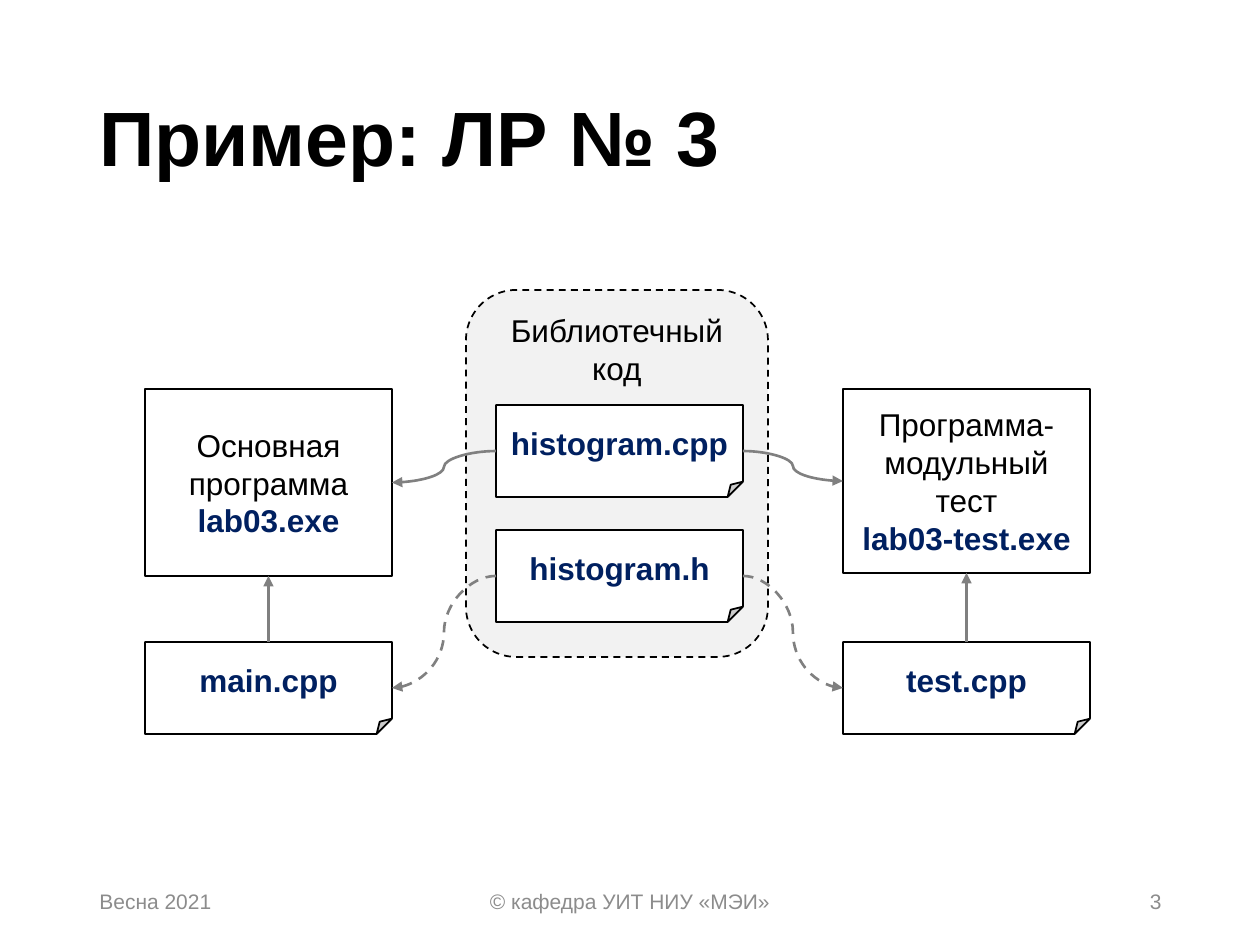
import lxml.etree
import pptx
import pptx.dml.color
import pptx.enum.dml
import pptx.enum.shapes
import pptx.enum.text
import pptx.oxml.ns
import pptx.util

SCALE = 914400 / 126  # EMU in one px
THEME = {
    "font": "Arial",
    "title": 44, "body": 18, "footer": 12,
    "text": "000000", "file": "002060", "muted": "8C8C8C",
    "paper": "FFFFFF", "group": "F2F2F2", "outline": "000000", "arrow": "808080",
}
SHAPE = pptx.enum.shapes.MSO_SHAPE
CONNECTOR = pptx.enum.shapes.MSO_CONNECTOR
ALIGN = pptx.enum.text.PP_ALIGN
ANCHOR = pptx.enum.text.MSO_ANCHOR
DASH = pptx.enum.dml.MSO_LINE.DASH
TOP, LEFT, BOTTOM, RIGHT = range(4)


def rgb(role):
    return pptx.dml.color.RGBColor.from_string(THEME[role])


def write(shape, lines, size, align=ALIGN.CENTER, anchor=ANCHOR.MIDDLE):
    """Put (text, colour role, bold) lines into one paragraph."""
    frame = shape.text_frame
    frame.word_wrap = True
    frame.vertical_anchor = anchor
    paragraph = frame.paragraphs[0]
    paragraph.alignment = align
    for number, (text, role, bold) in enumerate(lines):
        if number:
            paragraph.add_line_break()
        run = paragraph.add_run()
        run.text = text
        run.font.color.rgb = rgb(role)
        formats = {"name": THEME["font"], "size": pptx.util.Pt(THEME[size]), "bold": bold}
        for attribute, value in formats.items():
            setattr(run.font, attribute, value)
    return paragraph


deck = pptx.Presentation()
deck.slide_width = pptx.util.Inches(10)
deck.slide_height = pptx.util.Inches(7.5)
slide = deck.slides.add_slide(deck.slide_layouts[6])

# Title and footer
captions = [
    ((87, 50, 1086, 183), "Пример: ЛР № 3", "title", "text", True, ALIGN.LEFT),
    ((87, 876, 284, 50), "Весна 2021", "footer", "muted", False, ALIGN.LEFT),
    ((417, 876, 426, 50), "© кафедра УИТ НИУ «МЭИ»", "footer", "muted", False, ALIGN.CENTER),
    ((890, 876, 284, 50), "3", "footer", "muted", False, ALIGN.RIGHT),
]
for box, text, size, role, bold, align in captions:
    caption = slide.shapes.add_textbox(*(round(v * SCALE) for v in box))
    paragraph = write(caption, [(text, role, bold)], size, align)
    if size == "title":
        paragraph.line_spacing = 0.9

# Library group, source files and programs
MAIN_X, LIBRARY_X, TEST_X = 145, 496, 843
NODE_W, FILE_H = 247, 92
nodes = {
    "library": (SHAPE.ROUNDED_RECTANGLE, (466, 290, 302, 367),
                [("Библиотечный код", "text", False)]),
    "main_exe": (SHAPE.RECTANGLE, (MAIN_X, 389, NODE_W, 187),
                 [("Основная программа", "text", False), ("lab03.exe", "file", True)]),
    "test_exe": (SHAPE.RECTANGLE, (TEST_X, 389, NODE_W, 184),
                 [("Программа-модульный тест", "text", False),
                  ("lab03-test.exe", "file", True)]),
}
for name, x, y in [("histogram.h", LIBRARY_X, 530), ("histogram.cpp", LIBRARY_X, 405),
                   ("test.cpp", TEST_X, 642), ("main.cpp", MAIN_X, 642)]:
    nodes[name] = (SHAPE.FOLDED_CORNER, (x, y, NODE_W, FILE_H), [(name, "file", True)])

drawn = {}
for name, (outline, box, lines) in nodes.items():
    is_group = name == "library"
    node = slide.shapes.add_shape(outline, *(round(v * SCALE) for v in box))
    node.shadow.inherit = False
    node.fill.solid()
    node.fill.fore_color.rgb = rgb("group" if is_group else "paper")
    node.line.color.rgb = rgb("outline")
    node.line.width = pptx.util.Pt(1)
    if is_group:
        node.line.dash_style = DASH
    write(node, lines, "body", anchor=ANCHOR.TOP if is_group else ANCHOR.MIDDLE)
    drawn[name] = node

# Arrows: compiled sources are solid, included headers dashed
arrows = [
    ("main.cpp", TOP, "main_exe", BOTTOM, CONNECTOR.STRAIGHT, False),
    ("test.cpp", TOP, "test_exe", BOTTOM, CONNECTOR.STRAIGHT, False),
    ("histogram.cpp", LEFT, "main_exe", RIGHT, CONNECTOR.CURVE, False),
    ("histogram.cpp", RIGHT, "test_exe", LEFT, CONNECTOR.CURVE, False),
    ("histogram.h", LEFT, "main.cpp", RIGHT, CONNECTOR.CURVE, True),
    ("histogram.h", RIGHT, "test.cpp", LEFT, CONNECTOR.CURVE, True),
]
for source, source_side, target, target_side, route, dashed in arrows:
    arrow = slide.shapes.add_connector(route, 0, 0, 0, 0)
    arrow.begin_connect(drawn[source], source_side)
    arrow.end_connect(drawn[target], target_side)
    arrow.line.color.rgb = rgb("arrow")
    arrow.line.width = pptx.util.Pt(1.5)
    if dashed:
        arrow.line.dash_style = DASH
    line = arrow.line._get_or_add_ln()
    lxml.etree.SubElement(line, pptx.oxml.ns.qn("a:tailEnd"), type="triangle")
    lxml.etree.SubElement(arrow._element.spPr, pptx.oxml.ns.qn("a:effectLst"))

deck.save("out.pptx")
